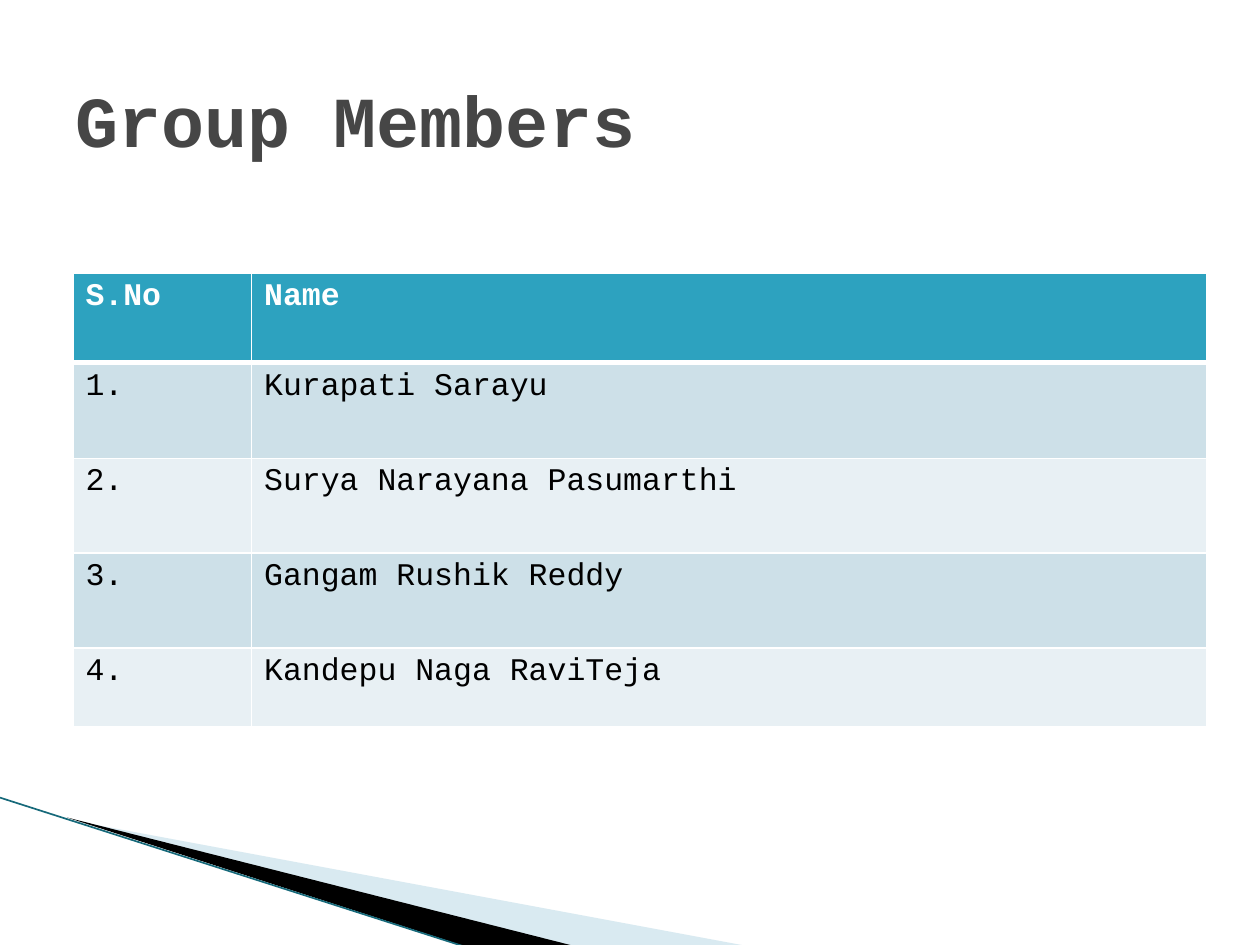
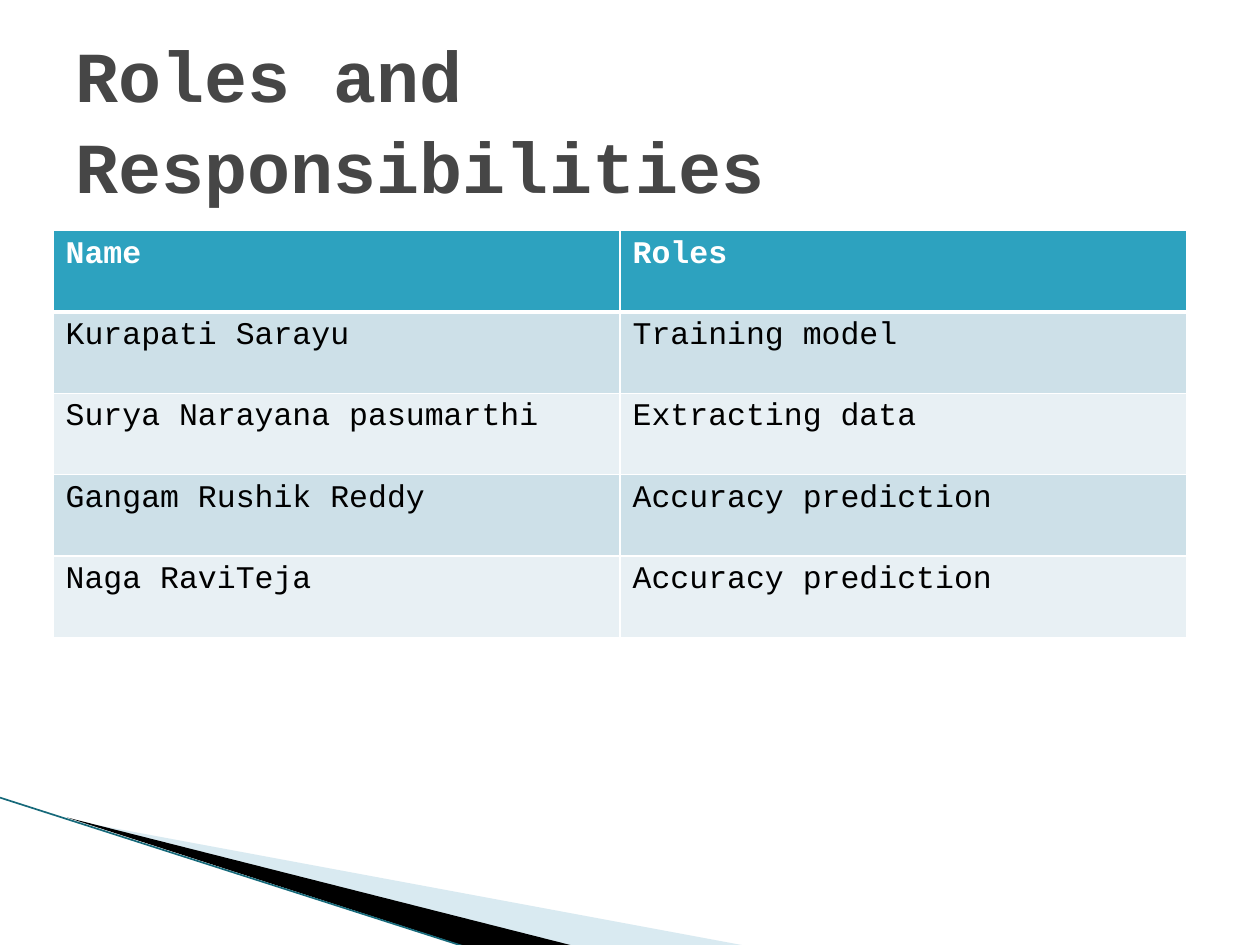
import pptx
import pptx.util
import pptx.dml.color
import pptx.enum.shapes
import pptx.enum.text
import pptx.oxml
import pptx.oxml.ns

Cm, Pt = pptx.util.Cm, pptx.util.Pt
RGB = pptx.dml.color.RGBColor

TEAL = RGB(0x2D, 0xA2, 0xBF)
EDGE = RGB(0x16, 0x69, 0x7A)
SKY = RGB(0xA0, 0xCB, 0xDC)
ODD = RGB(0xCD, 0xE0, 0xE8)
EVEN = RGB(0xE8, 0xF0, 0xF4)
GREY = RGB(0x46, 0x46, 0x46)
BLACK = RGB(0, 0, 0)
WHITE = RGB(0xFF, 0xFF, 0xFF)
FONT = "Courier New"

# Lengths are in centimetres.
SLIDES = [
    {
        "title": "Group Members",
        "spot": (1.47, 5.51),
        "cols": [3.6, 19.26],
        "rows": [1.8, 1.93, 1.91, 1.91, 1.6],
        "cells": [
            ("S.No", "Name"),
            ("1.", "Kurapati Sarayu"),
            ("2.", "Surya Narayana Pasumarthi"),
            ("3.", "Gangam Rushik Reddy"),
            ("4.", "Kandepu Naga RaviTeja"),
        ],
    },
    {
        "title": "Roles and Responsibilities",
        "spot": (1.07, 4.65),
        "cols": [11.43] * 2,
        "rows": [1.64] * 5,
        "cells": [
            ("Name", "Roles"),
            ("Kurapati Sarayu", "Training model"),
            ("Surya Narayana pasumarthi", "Extracting data"),
            ("Gangam Rushik Reddy", "Accuracy prediction"),
            ("Naga RaviTeja", "Accuracy prediction"),
        ],
    },
]

# Corner points, colour, opacity in percent
BANDS = [
    ([(1.4, 16.53), (15.11, 19.08), (11.58, 19.08)], SKY, 40),
    ([(1.35, 16.48), (11.61, 19.08), (9.45, 19.1)], BLACK, 100),
]
RULE = [(0, 16.08), (9.42, 19.1)]


def write(frame, text, size, color, bold=False, space=1.0):
    para = frame.paragraphs[0]
    para.alignment = pptx.enum.text.PP_ALIGN.LEFT
    para.line_spacing = space
    run = para.add_run()
    run.text = text
    font = run.font
    font.name, font.size, font.bold = FONT, Pt(size), bold
    font.color.rgb = color


def add_bands(slide):
    for points, color, alpha in BANDS:
        first, *rest = [(Cm(x), Cm(y)) for x, y in points]
        pen = slide.shapes.build_freeform(*first)
        pen.add_line_segments(rest, close=True)
        band = pen.convert_to_shape()
        band.shadow.inherit = False
        band.line.fill.background()
        band.fill.solid()
        band.fill.fore_color.rgb = color
        if alpha < 100:
            tint = next(band.fill._xPr.iter(pptx.oxml.ns.qn("a:srgbClr")))
            tint.append(pptx.oxml.parse_xml(
                f'<a:alpha {pptx.oxml.ns.nsdecls("a")} val="{alpha * 1000}"/>'))
    ends = [Cm(n) for point in RULE for n in point]
    rule = slide.shapes.add_connector(
        pptx.enum.shapes.MSO_CONNECTOR.STRAIGHT, *ends)
    rule.line.color.rgb = EDGE
    rule.line.width = Pt(0.95)
    rule._element.spPr.append(pptx.oxml.parse_xml(
        f'<a:effectLst {pptx.oxml.ns.nsdecls("a")}/>'))


def set_edges(cell, **widths):
    """Give the cell white borders; widths in points, keyed L, R, T, B."""
    props = cell._tc.get_or_add_tcPr()
    for side, width in widths.items():
        props.append(pptx.oxml.parse_xml(
            f'<a:ln{side} {pptx.oxml.ns.nsdecls("a")} w="{Pt(width)}">'
            f'<a:solidFill><a:srgbClr val="{WHITE}"/></a:solidFill>'
            f'</a:ln{side}>'))


def add_grid(slide, spot, cols, rows, cells):
    left, top = spot
    grid = slide.shapes.add_table(
        len(rows), len(cols), Cm(left), Cm(top),
        Cm(sum(cols)), Cm(sum(rows))).table
    for col, width in zip(grid.columns, cols):
        col.width = Cm(width)
    for r, (row, height) in enumerate(zip(grid.rows, rows)):
        row.height = Cm(height)
        head = r == 0
        for cell, text in zip(row.cells, cells[r]):
            set_edges(cell, L=1, R=1, T=3 if r == 1 else 1, B=3 if head else 1)
            cell.fill.solid()
            cell.fill.fore_color.rgb = TEAL if head else ODD if r % 2 else EVEN
            write(cell.text_frame, text, 18, WHITE if head else BLACK, head)


def add_title(slide, text):
    title = slide.shapes.title
    title.left, title.top = Cm(1.27), Cm(0.76)
    title.width, title.height = Cm(22.86), Cm(3.18)
    frame = title.text_frame
    frame.word_wrap = True
    frame.auto_size = pptx.enum.text.MSO_AUTO_SIZE.NONE
    frame.vertical_anchor = pptx.enum.text.MSO_ANCHOR.MIDDLE
    write(frame, text, 41, GREY, bold=True, space=1.06)


def main():
    deck = pptx.Presentation()
    deck.slide_width, deck.slide_height = Cm(25.4), Cm(19.05)
    for data in SLIDES:
        slide = deck.slides.add_slide(deck.slide_layouts[5])
        add_bands(slide)
        add_grid(slide, data["spot"], data["cols"], data["rows"], data["cells"])
        add_title(slide, data["title"])
    deck.save("out.pptx")


if __name__ == "__main__":
    main()
